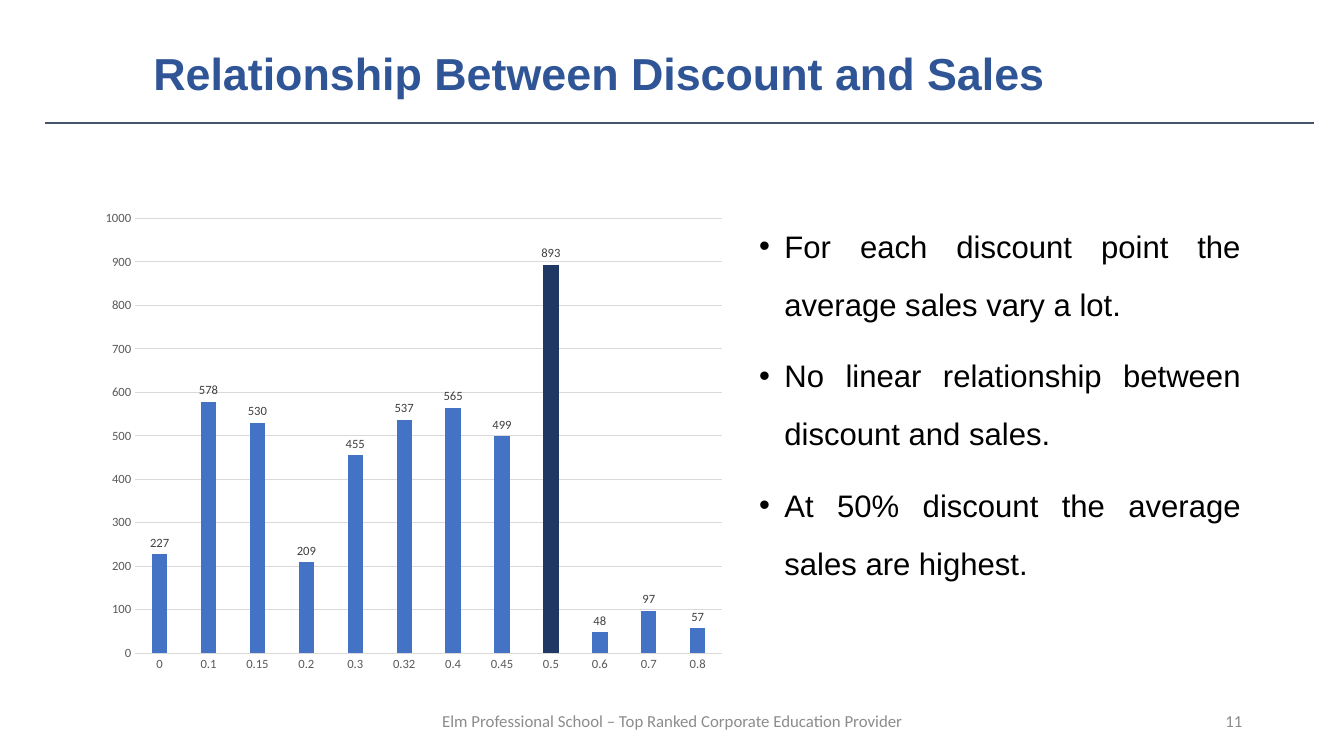
from dataclasses import dataclass
from lxml import etree
from pptx import Presentation
from pptx.chart.data import CategoryChartData
from pptx.dml.color import RGBColor
from pptx.enum.chart import XL_CHART_TYPE as ChartType, XL_LABEL_POSITION as LabelPosition, XL_TICK_MARK as TickMark
from pptx.enum.shapes import MSO_CONNECTOR as Connector
from pptx.enum.text import MSO_ANCHOR as Anchor, MSO_AUTO_SIZE as AutoSize, PP_ALIGN as Align
from pptx.oxml.ns import qn
from pptx.util import Inches, Pt


@dataclass(frozen=True)
class Theme:
    heading_font: str = "Arial"
    chart_font: str = "Calibri"
    title_color: RGBColor = RGBColor(0x2F, 0x55, 0x97)
    rule_color: RGBColor = RGBColor(0x44, 0x54, 0x6A)
    text_color: RGBColor = RGBColor(0, 0, 0)
    footer_color: RGBColor = RGBColor(0x8C, 0x8C, 0x8C)
    bar_color: RGBColor = RGBColor(0x44, 0x72, 0xC4)
    peak_color: RGBColor = RGBColor(0x20, 0x38, 0x64)
    axis_color: RGBColor = RGBColor(0x59, 0x59, 0x59)
    grid_color: RGBColor = RGBColor(0xD9, 0xD9, 0xD9)
    label_color: RGBColor = RGBColor(0x40, 0x40, 0x40)
    title_size: Pt = Pt(32)
    body_size: Pt = Pt(22.2)
    footer_size: Pt = Pt(12)
    chart_size: Pt = Pt(10)
    axis_size: Pt = Pt(9)


def set_font(font, name, size, color, bold=False):
    font.name = name
    font.size = size
    font.bold = bold
    font.color.rgb = color


def place(shape, left, top, width, height):
    shape.left, shape.top = Inches(left), Inches(top)
    shape.width, shape.height = Inches(width), Inches(height)


theme = Theme()
presentation = Presentation()
presentation.slide_width = Inches(13.33)
presentation.slide_height = Inches(7.5)
slide = presentation.slides.add_slide(presentation.slide_layouts[1])

rule = slide.shapes.add_connector(
    Connector.STRAIGHT, Inches(0.45), Inches(1.22), Inches(13.03), Inches(1.22))
rule.line.color.rgb = theme.rule_color
rule.line.width = Pt(2)
etree.SubElement(rule._element.spPr, qn("a:effectLst"))

title = slide.shapes.title
place(title, 0.44, 0.32, 11.5, 0.86)
title.text_frame.text = "Relationship Between Discount and Sales"
title.text_frame.auto_size = AutoSize.NONE
title.text_frame.vertical_anchor = Anchor.MIDDLE
title.text_frame.margin_left = Inches(1.08)
paragraph = title.text_frame.paragraphs[0]
paragraph.alignment = Align.LEFT
paragraph.line_spacing = 0.9
set_font(paragraph.font, theme.heading_font, theme.title_size, theme.title_color, True)

findings = [
    "For each discount point the average sales vary a lot.",
    "No linear relationship between discount and sales.",
    "At 50% discount the average sales are highest.",
]
body = slide.placeholders[1]
place(body, 7.43, 2, 4.98, 3.65)
body.text_frame.text = "\n".join(findings)
body.text_frame.auto_size = AutoSize.NONE
for index, paragraph in enumerate(body.text_frame.paragraphs):
    paragraph.alignment = Align.JUSTIFY
    paragraph.line_spacing = 1.55
    paragraph.space_before = Pt(10 if index else 0)
    properties = paragraph._p.get_or_add_pPr()
    properties.set("marL", str(Inches(0.25)))
    properties.set("indent", str(-Inches(0.25)))
    etree.SubElement(properties, qn("a:buFont"), typeface="Arial")
    etree.SubElement(properties, qn("a:buChar"), char="•")
    set_font(paragraph.font, theme.heading_font, theme.body_size, theme.text_color)

footers = [
    ("Elm Professional School – Top Ranked Corporate Education Provider", 4.26, 4.82, Align.CENTER),
    ("11", 9.42, 3, Align.RIGHT),
]
for text, left, width, alignment in footers:
    footer = slide.shapes.add_textbox(Inches(left), Inches(6.95), Inches(width), Inches(0.4))
    footer.text_frame.text = text
    footer.text_frame.word_wrap = True
    footer.text_frame.vertical_anchor = Anchor.MIDDLE
    paragraph = footer.text_frame.paragraphs[0]
    paragraph.alignment = alignment
    set_font(paragraph.font, theme.chart_font, theme.footer_size, theme.footer_color)

sales_by_discount = {
    0: 227, 0.1: 578, 0.15: 530, 0.2: 209, 0.3: 455, 0.32: 537,
    0.4: 565, 0.45: 499, 0.5: 893, 0.6: 48, 0.7: 97, 0.8: 57,
}
chart_data = CategoryChartData()
chart_data.categories = list(sales_by_discount)
chart_data.add_series("Series 1", list(sales_by_discount.values()))
chart = slide.shapes.add_chart(
    ChartType.COLUMN_CLUSTERED, Inches(0.92), Inches(2), Inches(6.37), Inches(4.76), chart_data).chart
chart.has_title = False
chart.has_legend = False
set_font(chart.font, theme.chart_font, theme.chart_size, theme.text_color)

for axis, number_format in ((chart.category_axis, "0%"), (chart.value_axis, "0")):
    axis.major_tick_mark = TickMark.NONE
    axis.minor_tick_mark = TickMark.NONE
    axis.tick_labels.number_format = number_format
    axis.tick_labels.number_format_is_linked = False
    set_font(axis.tick_labels.font, theme.chart_font, theme.axis_size, theme.axis_color)
chart.value_axis.minimum_scale = 0
chart.value_axis.maximum_scale = 1000
chart.value_axis.major_unit = 100
chart.value_axis.format.line.fill.background()
for line in (chart.category_axis.format.line, chart.value_axis.major_gridlines.format.line):
    line.color.rgb = theme.grid_color
    line.width = Pt(0.75)

plot = chart.plots[0]
plot.vary_by_categories = False
plot.gap_width = 219
plot.overlap = -27
series = plot.series[0]
series.format.fill.solid()
series.format.fill.fore_color.rgb = theme.bar_color
peak = series.points[list(sales_by_discount).index(0.5)]
peak.format.fill.solid()
peak.format.fill.fore_color.rgb = theme.peak_color
labels = series.data_labels
labels.show_value = True
labels.position = LabelPosition.OUTSIDE_END
labels.number_format = "0"
labels.number_format_is_linked = False
set_font(labels.font, theme.chart_font, theme.axis_size, theme.label_color)

presentation.save("out.pptx")
